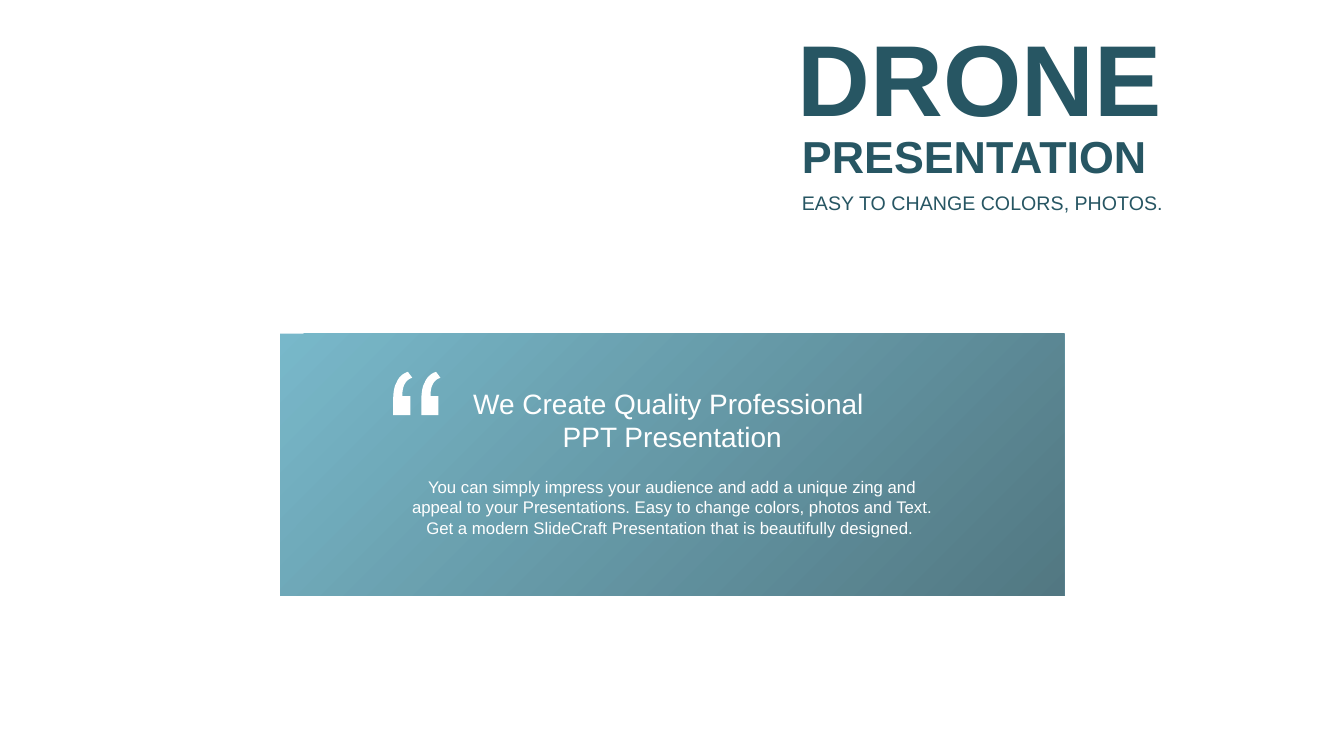
from dataclasses import dataclass

from lxml.etree import SubElement
from pptx import Presentation
from pptx.dml.color import RGBColor as RGB
from pptx.enum.shapes import MSO_SHAPE as Shape
from pptx.enum.text import MSO_ANCHOR as Anchor, MSO_AUTO_SIZE as AutoSize, PP_ALIGN as Align
from pptx.oxml.ns import qn
from pptx.shapes.autoshape import Shape as TextShape
from pptx.slide import Slide
from pptx.util import Cm, Pt

COLORS = {"dark": "275663", "light": "57A7BD", "white": "FFFFFF"}
FONT = "Arial"
Point = tuple[float, float]


@dataclass
class Label:
    lines: list[str]
    box: tuple[float, float, float, float]  # left, top, width, height in cm
    size: int
    color: str = "dark"
    bold: bool = False
    align: Align = Align.JUSTIFY
    anchor: Anchor = Anchor.TOP
    inset: tuple[float, float] = (0.25, 0.13)  # sides, top and bottom in cm


TITLE = Label(["DRONE"], (19.86, 0.25, 11.91, 3.33), 72, bold=True, anchor=Anchor.MIDDLE)
HEADER = [
    Label(["PRESENTATION"], (19.96, 3.1, 11.81, 1.63), 32, bold=True, anchor=Anchor.MIDDLE),
    Label(["EASY TO CHANGE COLORS, PHOTOS."], (19.96, 4.67, 11.81, 0.86), 14),
]
QUOTE = [
    Label(["We Create Quality Professional ", "PPT Presentation"],
          (9.91, 9.73, 14.07, 1.7), 20, "white", align=Align.CENTER,
          anchor=Anchor.MIDDLE, inset=(0.1, 0)),
    Label(["You can simply impress your audience and add a unique zing and appeal to your "
           "Presentations. Easy to change colors, photos and Text. Get a modern SlideCraft "
           "Presentation that is beautifully designed. "],
          (9.91, 11.89, 14.07, 1.8), 12, "white", align=Align.CENTER),
]

# Quotation mark: one point is a line, three points are a Bezier curve
MARK_LEFT, MARK_TOP, MARK_STEP = 9.91, 9.37, 0.71
MARK_START = (0.37, 0)
MARK = [
    [(0.48, 0.15)],
    [(0.39, 0.18), (0.33, 0.23), (0.29, 0.31)],
    [(0.25, 0.38), (0.23, 0.48), (0.23, 0.61)],
    [(0.43, 0.61)], [(0.43, 1.09)], [(0, 1.09)], [(0, 0.71)],
    [(0, 0.51), (0.03, 0.36), (0.08, 0.28)],
    [(0.13, 0.15), (0.22, 0.05), MARK_START],
]


def rgb(name: str) -> RGB:
    return RGB.from_string(COLORS[name])


def write_label(sp: TextShape, label: Label) -> None:
    sp.left, sp.top, sp.width, sp.height = map(Cm, label.box)
    tf = sp.text_frame
    tf.text = "\n".join(label.lines)
    tf.word_wrap = True
    tf.auto_size = AutoSize.SHAPE_TO_FIT_TEXT
    tf.vertical_anchor = label.anchor
    tf.margin_left = tf.margin_right = Cm(label.inset[0])
    tf.margin_top = tf.margin_bottom = Cm(label.inset[1])
    for p in tf.paragraphs:
        p.alignment = label.align
        p.font.name, p.font.size, p.font.bold = FONT, Pt(label.size), label.bold
        p.font.color.rgb = rgb(label.color)


def add_labels(slide: Slide, labels: list[Label]) -> None:
    for label in labels:
        write_label(slide.shapes.add_textbox(*map(Cm, label.box)), label)


def add_panel(slide: Slide) -> None:
    sp = slide.shapes.add_shape(Shape.RECTANGLE, Cm(7.06), Cm(8.41), Cm(19.76), Cm(6.6))
    sp.shadow.inherit = False
    sp.line.fill.background()
    sp.fill.gradient()
    sp.fill.gradient_angle = 315
    for stop, name in zip(sp.fill.gradient_stops, ("light", "dark")):
        stop.color.rgb = rgb(name)
    for color in sp.element.spPr.iter(qn("a:srgbClr")):
        SubElement(color, qn("a:alpha"), val="80000")


def mark_outline(steps: int = 8) -> list[Point]:
    points = [MARK_START]
    for segment in MARK:
        if len(segment) == 1:
            points += segment
            continue
        curve = [points[-1], *segment]
        for i in range(1, steps + 1):
            t = i / steps
            weights = ((1 - t) ** 3, 3 * t * (1 - t) ** 2, 3 * t * t * (1 - t), t ** 3)
            points.append((sum(w * x for w, (x, _) in zip(weights, curve)),
                           sum(w * y for w, (_, y) in zip(weights, curve))))
    return points


def add_quote_marks(slide: Slide) -> None:
    outline = mark_outline()
    marks = [[(Cm(MARK_LEFT + i * MARK_STEP + x), Cm(MARK_TOP + y)) for x, y in outline]
             for i in range(2)]
    builder = slide.shapes.build_freeform(*marks[0][0])
    builder.add_line_segments(marks[0][1:])
    builder.move_to(*marks[1][0])
    builder.add_line_segments(marks[1][1:])
    sp = builder.convert_to_shape()
    sp.shadow.inherit = False
    sp.fill.solid()
    sp.fill.fore_color.rgb = rgb("white")
    sp.line.fill.background()


def main() -> None:
    prs = Presentation()
    prs.slide_width, prs.slide_height = Cm(33.87), Cm(19.05)
    slide = prs.slides.add_slide(prs.slide_layouts.get_by_name("Title Only"))

    # Heading
    write_label(slide.shapes.title, TITLE)
    add_labels(slide, HEADER)

    # Quotation panel
    add_panel(slide)
    add_quote_marks(slide)
    add_labels(slide, QUOTE)

    prs.save("out.pptx")


if __name__ == "__main__":
    main()
